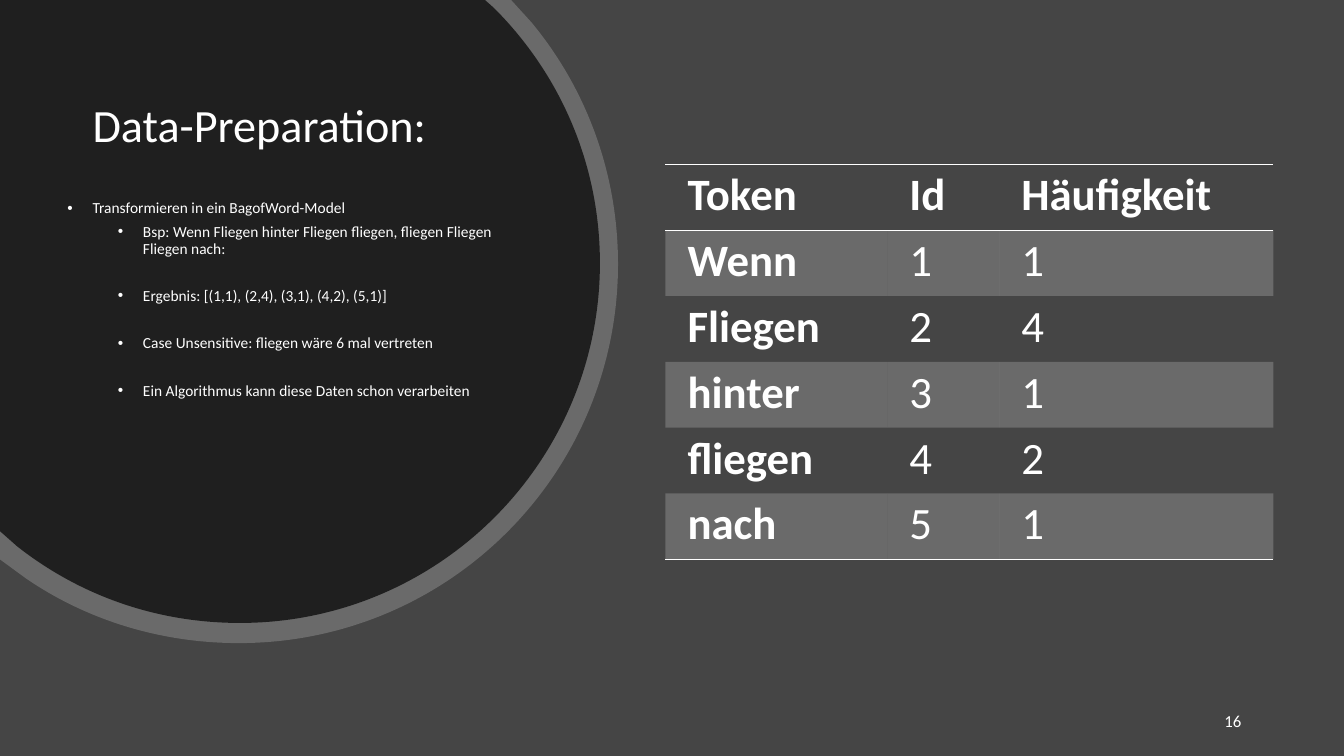
from lxml.etree import SubElement
from pptx import Presentation
from pptx.dml.color import RGBColor
from pptx.enum.text import MSO_ANCHOR, PP_ALIGN
from pptx.oxml import parse_xml
from pptx.oxml.ns import nsdecls, qn
from pptx.util import Inches, Pt

COLORS = {"background": "454545", "white": "FFFFFF", "disc": "0D0D0D"}
FONT = "Calibri"


def fill_translucent(fill, properties, color, percent):
    fill.solid()
    fill.fore_color.rgb = RGBColor.from_string(COLORS[color])
    tint = properties.find(qn("a:solidFill")).find(qn("a:srgbClr"))
    SubElement(tint, qn("a:alpha")).set("val", str(percent * 1000))


def style_text(paragraph, size, bold=False, line_spacing=None):
    paragraph.line_spacing = line_spacing
    font = paragraph.runs[0].font
    font.name = FONT
    font.size = Pt(size)
    font.bold = bold
    font.color.rgb = RGBColor.from_string(COLORS["white"])


prs = Presentation()
prs.slide_width = Inches(13.33)
prs.slide_height = Inches(7.5)
slide = prs.slides.add_slide(prs.slide_layouts[6])
slide.background.fill.solid()
slide.background.fill.fore_color.rgb = RGBColor.from_string(COLORS["background"])

ring_outline = [
    [(5.07, 0)],
    [(5.27, 0.22)],
    [(5.81, 0.87), (6.13, 1.71), (6.13, 2.62)],
    [(6.13, 4.7), (4.45, 6.38), (2.37, 6.38)],
    [(1.59, 6.38), (0.86, 6.15), (0.26, 5.74)],
    [(0, 5.55)],
]
disc_outline = [
    [(4.81, 0)],
    [(4.9, 0.08)],
    [(5.55, 0.73), (5.95, 1.62), (5.95, 2.61)],
    [(5.95, 4.58), (4.35, 6.18), (2.38, 6.18)],
    [(1.54, 6.18), (0.78, 5.9), (0.17, 5.42)],
    [(0, 5.27)],
]
for outline, color, opacity in [(ring_outline, "white", 20), (disc_outline, "disc", 80)]:
    builder = slide.shapes.build_freeform(0, 0)
    builder.add_line_segments([(Inches(x), Inches(y)) for *_, (x, y) in outline], close=True)
    disc = builder.convert_to_shape()
    disc.shadow.inherit = False
    disc.line.fill.background()
    fill_translucent(disc.fill, disc._element.spPr, color, opacity)
    segments = list(disc._element.spPr.iter(qn("a:lnTo")))
    for segment, (*controls, _) in zip(segments, outline):
        if controls:
            segment.tag = qn("a:cubicBezTo")
        for position, (x, y) in enumerate(controls):
            control = parse_xml(f'<a:pt {nsdecls("a")} x="{Inches(x)}" y="{Inches(y)}"/>')
            segment.insert(position, control)

title = slide.shapes.add_textbox(Inches(0.82), Inches(0.7), Inches(4.44), Inches(1.14)).text_frame
title.word_wrap = True
title.vertical_anchor = MSO_ANCHOR.MIDDLE
title.text = "Data-Preparation:"
style_text(title.paragraphs[0], 33, line_spacing=0.9)

points = [
    (0, 10, "Transformieren in ein BagofWord-Model"),
    (1, 5, "Bsp: Wenn Fliegen hinter Fliegen fliegen, fliegen Fliegen Fliegen nach:"),
    (1, 22, "Ergebnis: [(1,1), (2,4), (3,1), (4,2), (5,1)]"),
    (1, 22, "Case Unsensitive: fliegen wäre 6 mal vertreten"),
    (1, 22, "Ein Algorithmus kann diese Daten schon verarbeiten"),
]
body = slide.shapes.add_textbox(Inches(0.57), Inches(1.94), Inches(4.44), Inches(3.01)).text_frame
body.word_wrap = True
body.text = "\n".join(text for _, _, text in points)
for paragraph, (level, gap, _) in zip(body.paragraphs, points):
    style_text(paragraph, 11, line_spacing=0.9)
    paragraph.level = level
    paragraph.space_before = Pt(gap)
    properties = paragraph._p.get_or_add_pPr()
    properties.set("marL", str(Inches(0.25 + 0.5 * level)))
    properties.set("indent", str(Inches(-0.25)))
    SubElement(properties, qn("a:buFont")).set("typeface", "Arial")
    SubElement(properties, qn("a:buChar")).set("char", "•")

token_rows = [
    ("Token", "Id", "Häufigkeit"),
    ("Wenn", "1", "1"),
    ("Fliegen", "2", "4"),
    ("hinter", "3", "1"),
    ("fliegen", "4", "2"),
    ("nach", "5", "1"),
]
column_widths = [2.2, 1.11, 2.72]
table_height = 3.92
last_row = len(token_rows) - 1
tokens = slide.shapes.add_table(
    len(token_rows), len(column_widths), Inches(6.6), Inches(1.63),
    Inches(sum(column_widths)), Inches(table_height),
).table
tokens.first_row = False
tokens.horz_banding = False
for column, width in zip(tokens.columns, column_widths):
    column.width = Inches(width)
for row_index, values in enumerate(token_rows):
    tokens.rows[row_index].height = Inches(table_height / len(token_rows))
    ruled_sides = {
        "L": False,
        "R": False,
        "T": row_index in (0, 1),
        "B": row_index in (0, last_row),
    }
    for column_index, value in enumerate(values):
        cell = tokens.cell(row_index, column_index)
        cell.margin_left = cell.margin_right = Inches(0.22)
        cell.margin_top = cell.margin_bottom = 0
        cell.text = value
        is_heading = row_index == 0 or column_index == 0
        style_text(cell.text_frame.paragraphs[0], 32, is_heading, 1.07)
        cell_properties = cell._tc.get_or_add_tcPr()
        if row_index % 2:
            fill_translucent(cell.fill, cell_properties, "white", 20)
        else:
            cell.fill.background()
        for position, (side, ruled) in enumerate(ruled_sides.items()):
            paint = (
                f'<a:solidFill><a:srgbClr val="{COLORS["white"]}"/></a:solidFill>'
                if ruled else "<a:noFill/>"
            )
            border = parse_xml(f'<a:ln{side} {nsdecls("a")} w="{Pt(1)}">{paint}</a:ln{side}>')
            cell_properties.insert(position, border)

page_number = slide.shapes.add_textbox(Inches(9.41), Inches(6.95), Inches(3), Inches(0.4)).text_frame
page_number.word_wrap = True
page_number.vertical_anchor = MSO_ANCHOR.MIDDLE
page_number.text = "16"
page_number.paragraphs[0].alignment = PP_ALIGN.RIGHT
style_text(page_number.paragraphs[0], 12)

prs.save("out.pptx")
